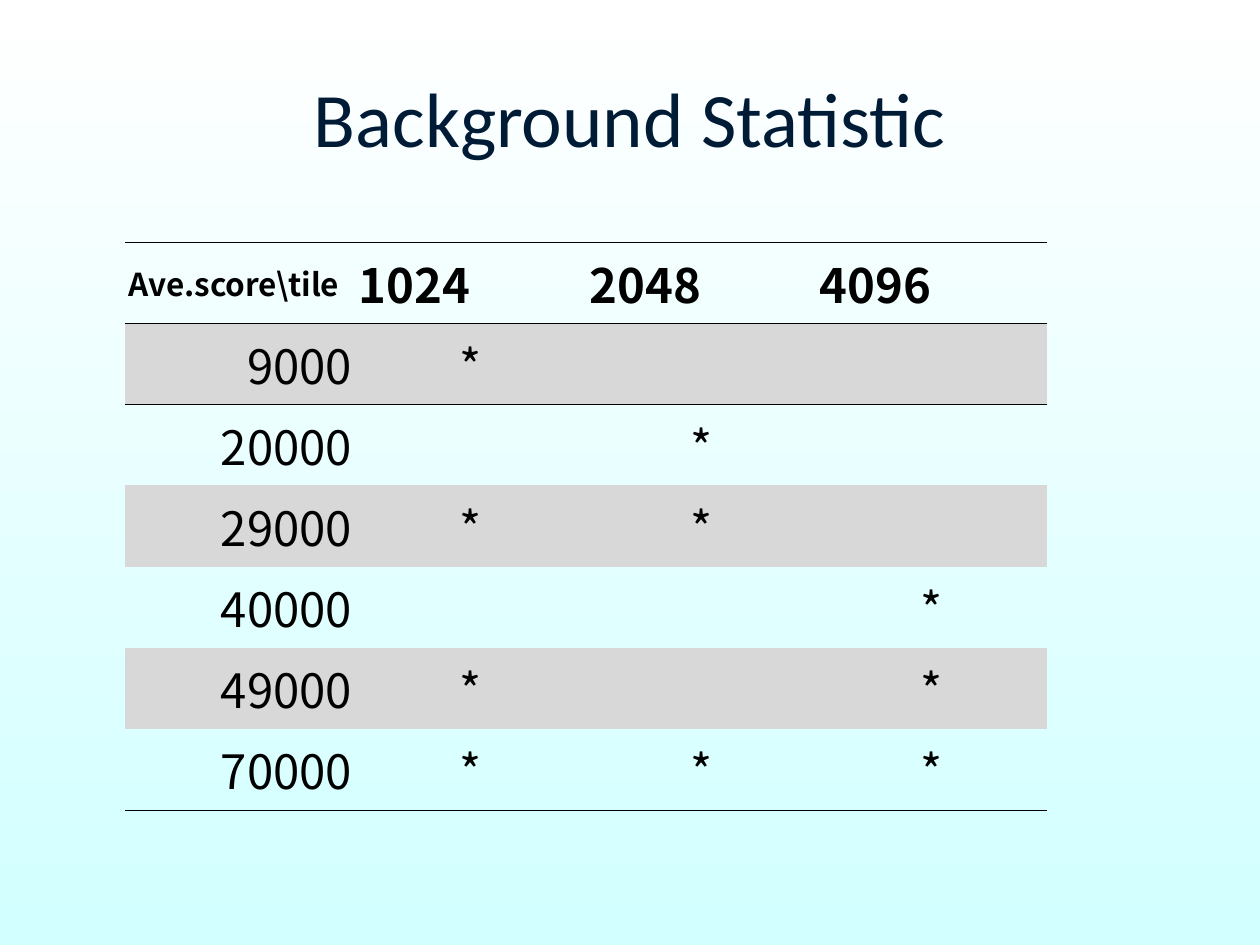
from dataclasses import dataclass

from lxml import etree
from pptx import Presentation
from pptx import util as u
from pptx.dml.color import RGBColor
from pptx.enum import text
from pptx.oxml import ns


@dataclass(frozen=True)
class Theme:
    sky: str = "FFFFFF"
    aqua: str = "D2FFFF"
    navy: str = "001B36"
    ink: str = "000000"
    band: str = "D8D8D8"
    title_font: str = "Calibri"
    table_font: str = "Noto Sans CJK SC"
    title_size: float = 44
    corner_size: float = 18
    table_size: float = 27
    rule_width: float = 0.23


THEME = Theme()
NO_STYLE_NO_GRID = "{2D5ABB26-0587-4C30-8999-92F81FD0307C}"
HEADINGS = ["Ave.score\\tile", "1024", "2048", "4096"]
# Average score, then the tiles reached with it
SCORES = [
    ("9000", ["1024"]),
    ("20000", ["2048"]),
    ("29000", ["1024", "2048"]),
    ("40000", ["4096"]),
    ("49000", ["1024", "4096"]),
    ("70000", ["1024", "2048", "4096"]),
]


def set_attributes(target, values):
    for name, value in values.items():
        setattr(target, name, value)


def format_text(paragraph, font, size, color, align, bold=False):
    paragraph.alignment = align
    set_attributes(paragraph.font, {"name": font, "size": u.Pt(size), "bold": bold})
    paragraph.font.color.rgb = RGBColor.from_string(color)


def paint_background(slide):
    fill = slide.background.fill
    fill.gradient()
    fill.gradient_angle = 270
    for stop, color in zip(fill.gradient_stops, (THEME.sky, THEME.aqua)):
        stop.color.rgb = RGBColor.from_string(color)


def add_title(slide, wording):
    title = slide.shapes.title
    set_attributes(title, {"left": u.Pt(36), "top": u.Pt(21.6),
                           "width": u.Pt(648), "height": u.Pt(90)})
    frame = title.text_frame
    frame.text = wording
    set_attributes(frame, {"vertical_anchor": text.MSO_ANCHOR.MIDDLE,
                           "auto_size": text.MSO_AUTO_SIZE.NONE})
    format_text(frame.paragraphs[0], THEME.title_font, THEME.title_size,
                THEME.navy, text.PP_ALIGN.CENTER)


def add_rule(cell, side):
    properties = cell._tc.get_or_add_tcPr()
    line = etree.SubElement(properties, ns.qn(f"a:ln{side}"),
                            w=str(u.Pt(THEME.rule_width)))
    fill = etree.SubElement(line, ns.qn("a:solidFill"))
    etree.SubElement(fill, ns.qn("a:srgbClr"), val=THEME.ink)


def format_cell(cell, row, column, last_row):
    set_attributes(cell, {"vertical_anchor": text.MSO_ANCHOR.MIDDLE,
                          "margin_left": u.Pt(2), "margin_right": u.Pt(2),
                          "margin_top": u.Pt(3.6), "margin_bottom": u.Pt(3.6)})
    # Rules frame the header and close the table
    if row in (0, 1):
        add_rule(cell, "T")
    if row in (0, last_row):
        add_rule(cell, "B")
    # Odd rows are banded
    if row % 2:
        cell.fill.solid()
        cell.fill.fore_color.rgb = RGBColor.from_string(THEME.band)
    else:
        cell.fill.background()
    if row == 0:
        align = text.PP_ALIGN.LEFT
    else:
        align = text.PP_ALIGN.CENTER if column else text.PP_ALIGN.RIGHT
    size = THEME.table_size if row or column else THEME.corner_size
    format_text(cell.text_frame.paragraphs[0], THEME.table_font, size,
                THEME.ink, align, bold=row == 0)


def add_score_table(slide):
    rows = [HEADINGS] + [
        [score] + ["*" if tile in reached else "" for tile in HEADINGS[1:]]
        for score, reached in SCORES
    ]
    frame = slide.shapes.add_table(len(rows), len(HEADINGS), u.Pt(71.4), u.Pt(138.4),
                                   u.Pt(527), u.Pt(240))
    table = frame.table
    set_attributes(table, {"first_row": False, "horz_banding": False})
    table._tbl.tblPr.find(ns.qn("a:tableStyleId")).text = NO_STYLE_NO_GRID
    for row, values in enumerate(rows):
        for column, value in enumerate(values):
            cell = table.cell(row, column)
            cell.text = value
            format_cell(cell, row, column, len(rows) - 1)


def main():
    presentation = Presentation()
    set_attributes(presentation, {"slide_width": u.Pt(720), "slide_height": u.Pt(540)})
    slide = presentation.slides.add_slide(presentation.slide_layouts[5])
    paint_background(slide)
    add_title(slide, "Background Statistic")
    add_score_table(slide)
    presentation.save("out.pptx")


if __name__ == "__main__":
    main()
